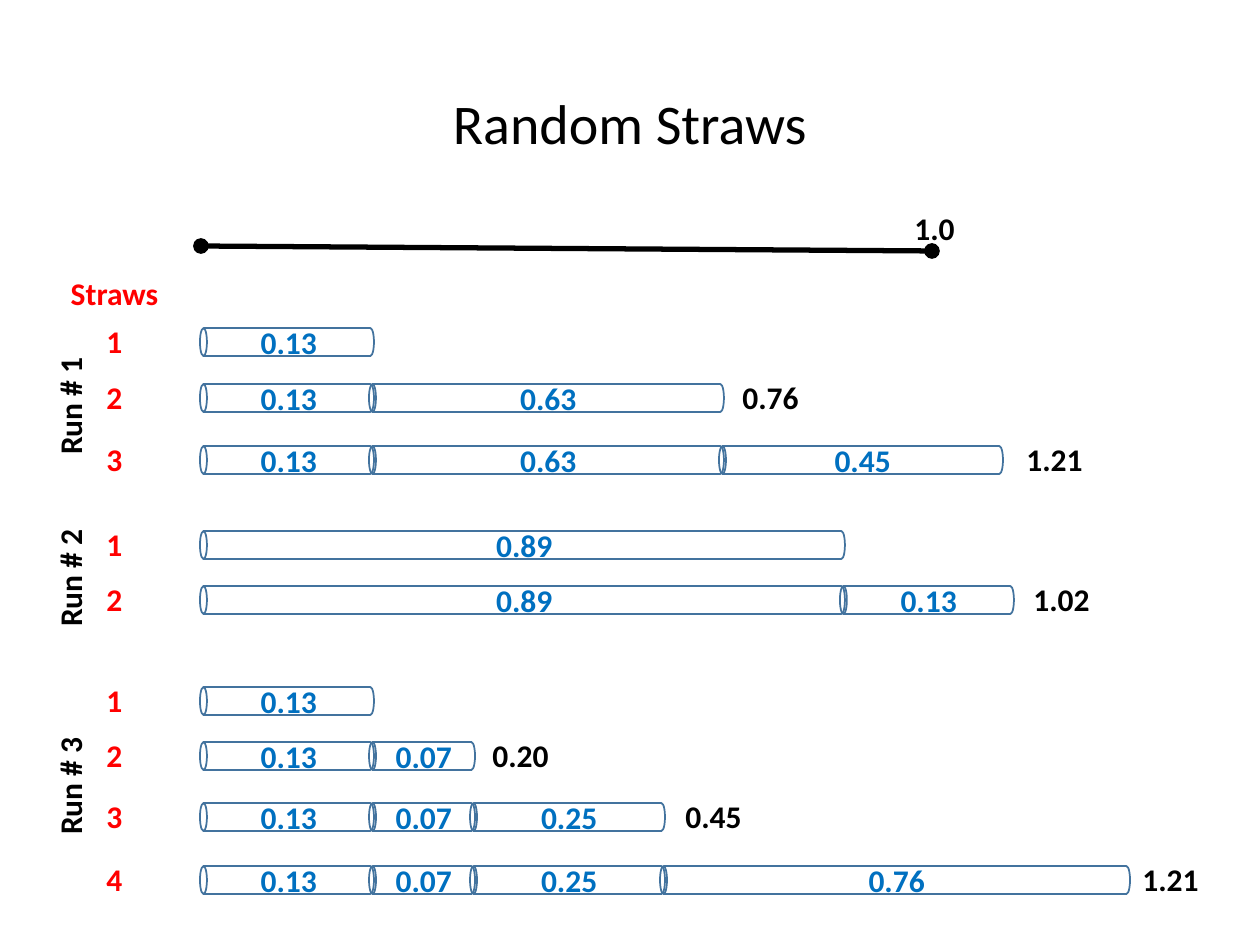
from lxml import etree
from pptx import Presentation
from pptx.dml.color import RGBColor
from pptx.enum.shapes import MSO_CONNECTOR, MSO_SHAPE
from pptx.enum.text import MSO_ANCHOR, MSO_AUTO_SIZE, PP_ALIGN
from pptx.oxml.ns import qn
from pptx.util import Emu, Pt

CAN = MSO_SHAPE.CAN
STRAIGHT = MSO_CONNECTOR.STRAIGHT
LEFT, CENTER = PP_ALIGN.LEFT, PP_ALIGN.CENTER
MIDDLE = MSO_ANCHOR.MIDDLE
FIT_TEXT = MSO_AUTO_SIZE.SHAPE_TO_FIT_TEXT
COLORS = {"black": "000000", "red": "FF0000", "blue": "0070C0", "outline": "43739E"}


def px(length):
    return Emu(round(length * 914400 / 126))


def write_text(shape, text, color="black", size=18, bold=True, align=CENTER):
    frame = shape.text_frame
    frame.word_wrap = True
    paragraph = frame.paragraphs[0]
    paragraph.alignment = align
    run = paragraph.add_run()
    run.text = text
    run.font.name = "Calibri"
    run.font.size = Pt(size)
    run.font.bold = bold
    run.font.color.rgb = RGBColor.from_string(COLORS[color])
    return frame


presentation = Presentation()
presentation.slide_width, presentation.slide_height = px(1260), px(945)
slide = presentation.slides.add_slide(presentation.slide_layouts[6])
shapes = slide.shapes

# Title
title = shapes.add_textbox(px(87), px(50), px(1086), px(153))
frame = write_text(title, "Random Straws", size=32, bold=False)
frame.vertical_anchor = MIDDLE
frame.paragraphs[0].line_spacing = 0.9

# Unit line with round ends
unit_line = shapes.add_connector(STRAIGHT, px(201), px(246), px(932), px(251))
unit_line.line.width = Pt(3)
unit_line.line.color.rgb = RGBColor.from_string(COLORS["black"])
line_properties = unit_line.line._get_or_add_ln()
for end in ("a:headEnd", "a:tailEnd"):
    etree.SubElement(line_properties, qn(end), type="oval")
etree.SubElement(unit_line.element.spPr, qn("a:effectLst"))

# Runs: name, centre of the name, rows of (centre y, straws, total, left of total)
STRAW_LEFT, STRAW_HEIGHT, OVERLAP = 200, 28, 5
STRAW_LENGTHS = {"0.07": 106, "0.13": 174, "0.25": 195, "0.45": 284,
                 "0.63": 355, "0.76": 470, "0.89": 645}
RUNS = [
    ("Run # 1", 406, [
        (342, ["0.13"], None, None),
        (398, ["0.13", "0.63"], "0.76", 730),
        (460, ["0.13", "0.63", "0.45"], "1.21", 1014)]),
    ("Run # 2", 578, [
        (545, ["0.89"], None, None),
        (600, ["0.89", "0.13"], "1.02", 1021)]),
    ("Run # 3", 786, [
        (701, ["0.13"], None, None),
        (756, ["0.13", "0.07"], "0.20", 480),
        (817, ["0.13", "0.07", "0.25"], "0.45", 673),
        (880, ["0.13", "0.07", "0.25", "0.76"], "1.21", 1130)]),
]

# Labels: text, left, top, width, colour, alignment, rotation
LABEL_HEIGHT = 50
labels = [("1.0", 902, 203, 74, "black", LEFT, 0),
          ("Straws", 58, 268, 113, "red", CENTER, 0)]

# Straws laid end to end, each lying on its side
for run_name, run_y, rows in RUNS:
    labels.append((run_name, 1, run_y - 25, 137, "black", CENTER, 270))
    for number, (center_y, straws, total, total_left) in enumerate(rows, 1):
        labels.append((str(number), 58, center_y - 26, 113, "red", CENTER, 0))
        if total:
            labels.append((total, total_left, center_y - 26, 87, "black", LEFT, 0))
        left = STRAW_LEFT
        for value in straws:
            length = STRAW_LENGTHS[value]
            straw = shapes.add_shape(
                CAN, px(left + (length - STRAW_HEIGHT) / 2), px(center_y - length / 2),
                px(STRAW_HEIGHT), px(length))
            straw.rotation = 270
            straw.shadow.inherit = False
            straw.fill.background()
            straw.line.color.rgb = RGBColor.from_string(COLORS["outline"])
            straw.line.width = Pt(1)
            write_text(straw, value, color="blue").vertical_anchor = MIDDLE
            straw.element.txBody.bodyPr.set("vert", "vert")
            left += length - OVERLAP

# Text labels
for text, left, top, width, color, align, rotation in labels:
    label = shapes.add_textbox(px(left), px(top), px(width), px(LABEL_HEIGHT))
    label.rotation = rotation
    write_text(label, text, color=color, align=align).auto_size = FIT_TEXT

presentation.save("out.pptx")
